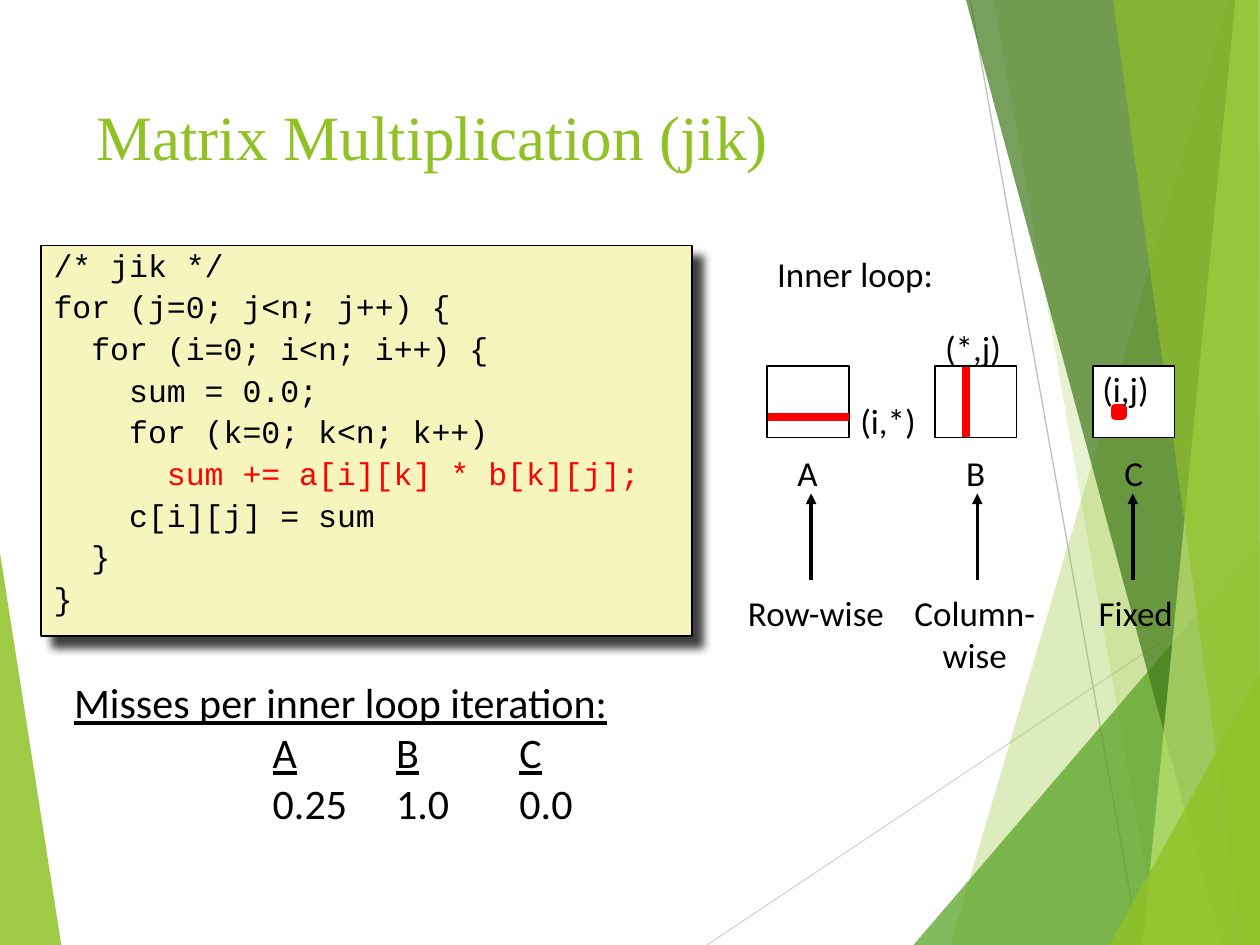
from lxml import etree
from pptx import Presentation
from pptx import util as u
from pptx.dml.color import RGBColor
from pptx.enum import shapes, text
from pptx.oxml import ns

Pt = u.Pt
BLACK, RED, LIME = "000000", "FF0000", "90C226"
SANS = "Calibri"

RAYS = [("D9D9D9", (404, 540, 720, 329)), ("BFBFBF", (554.4, 0, 651, 540))]
LEAF = (LIME, 85, [(0, 316), (35, 540), (0, 540)])
BANDS = [
    (LIME, 30, [(702, 0), (543, 540), (720, 540), (720, 0)]),
    (LIME, 20, [(567.5, 0), (661.5, 540), (720, 540), (720, 0)]),
    ("54A021", 72, [(522.5, 540), (720, 309), (720, 540)]),
    ("3F7819", 70, [(552, 0), (698.5, 540), (720, 540), (720, 0)]),
    ("C0E474", 70, [(706.5, 0), (653, 540), (720, 540), (720, 0)]),
    (LIME, 65, [(636, 0), (710, 540), (720, 540), (719, 0)]),
    (LIME, 80, [(634.5, 540), (720, 385), (720, 540)]),
]
CODE = [
    [("/* jik */", BLACK)],
    [("for (j=0; j<n; j++) {", BLACK)],
    [("  for (i=0; i<n; i++) {", BLACK)],
    [("    sum = 0.0;", BLACK)],
    [("    for (k=0; k<n; k++)", BLACK)],
    [("      ", BLACK), ("sum += a[i][k] * b[k][j];", RED)],
    [("    c[i][j] = sum", BLACK)],
    [("  }", BLACK)],
    [("}", BLACK)],
]
GRIDS = [
    ("A", 438.5, 448.5, 26.5, 463.5, ["Row-wise"], 419.75, 93),
    ("B", 534.2, 545, 25, 558.5, ["Column-", "wise"], 515, 84),
    ("C", 624.5, 635.5, 25, 647.3, ["Fixed"], 620.5, 57),
]
MARKS = [("(i,*)", 484.5, 224.5, 46), ("(*,j)", 533, 183, 47),
         ("(i,j)", 622.8, 206.5, 41), ("Inner loop:", 437, 140.5, 104.5)]
MISSES = [
    [("Misses per inner loop iteration:", True)],
    [("\t\t", False), ("A", True), ("\t", False), ("B", True),
     ("\t", False), ("C", True)],
    [("\t\t0.25\t1.0\t0.0", False)],
]
TABS = [60, 113.5, 184, 254.5]


def sub(node, tag, **attrs):
    return etree.SubElement(node, ns.qn(tag), attrs)


def paint(fill, code, alpha=100):
    fill.solid()
    fill.fore_color.rgb = RGBColor.from_string(code)
    if alpha < 100:
        tone = fill._xPr.find(".//" + ns.qn("a:srgbClr"))
        sub(tone, "a:alpha", val=str(alpha * 1000))


def write(para, words, size, face, code, under=None):
    run = para.add_run()
    run.text = words
    font = run.font
    font.size, font.name, font.underline = Pt(size), face, under
    paint(font.fill, code)


def line(art, ends, code, width, head=False):
    edge = art.add_connector(shapes.MSO_CONNECTOR.STRAIGHT, *map(Pt, ends))
    paint(edge.line.fill, code)
    edge.line.width = Pt(width)
    if head:
        sub(edge.line._get_or_add_ln(), "a:tailEnd", type="triangle")
    sub(edge._element.spPr, "a:effectLst")


def wedge(art, code, alpha, dots):
    pen = art.build_freeform(*dots[0], scale=12700)
    pen.add_line_segments(dots[1:])
    form = pen.convert_to_shape()
    form.shadow.inherit = False
    form.line.fill.background()
    paint(form.fill, code, alpha)


def rect(art, place, fill, edge, width):
    box = art.add_shape(shapes.MSO_SHAPE.RECTANGLE, *map(Pt, place))
    box.shadow.inherit = False
    paint(box.fill, fill)
    paint(box.line.fill, edge)
    box.line.width = Pt(width)
    return box


def label(art, rows, left, top, width, align=text.PP_ALIGN.LEFT):
    high = 7 + 24.4 * len(rows)
    frame = art.add_textbox(*map(Pt, (left, top, width, high))).text_frame
    frame.word_wrap = False
    frame.auto_size = text.MSO_AUTO_SIZE.SHAPE_TO_FIT_TEXT
    for i, row in enumerate(rows):
        para = frame.add_paragraph() if i else frame.paragraphs[0]
        para.alignment = align
        write(para, row, 20, SANS, BLACK)


def listing(art):
    box = rect(art, (23.5, 140.25, 371.75, 223.25), "F6F5BD", BLACK, 1)
    glow = sub(box._element.spPr.find(ns.qn("a:effectLst")), "a:outerShdw",
               blurRad=str(Pt(5)), dist=str(Pt(8.5)), dir="2700000",
               algn="tl", rotWithShape="0")
    tone = sub(glow, "a:srgbClr", val=BLACK)
    sub(tone, "a:alpha", val="75000")
    frame = box.text_frame
    frame.word_wrap = True
    frame.vertical_anchor = text.MSO_ANCHOR.TOP
    frame.margin_top = Pt(7)
    for i, row in enumerate(CODE):
        para = frame.add_paragraph() if i else frame.paragraphs[0]
        para.alignment = text.PP_ALIGN.LEFT
        para.line_spacing = 0.65
        if i:
            para.space_before = Pt(9.75)
        for words, code in row:
            write(para, words, 18, "Courier New", code)


def table(art):
    frame = art.add_textbox(*map(Pt, (35.25, 383, 429, 96.5))).text_frame
    frame.word_wrap = True
    for i, row in enumerate(MISSES):
        para = frame.add_paragraph() if i else frame.paragraphs[0]
        stops = sub(para._p.get_or_add_pPr(), "a:tabLst")
        for pos in TABS:
            sub(stops, "a:tab", pos=str(Pt(pos)), algn="l")
        for words, under in row:
            write(para, words, 24, SANS, BLACK, under)


def main():
    deck = Presentation()
    deck.slide_width, deck.slide_height = Pt(720), Pt(540)
    page = deck.slides.add_slide(deck.slide_layouts[5])
    art = page.shapes
    paint(page.background.fill, "FFFFFF")

    wedge(art, *LEAF)
    for code, ends in RAYS:
        line(art, ends, code, 0.75)
    for band in BANDS:
        wedge(art, *band)

    title = art.title
    title.left, title.top, title.width, title.height = map(
        Pt, (48, 48, 500, 59))
    title.text_frame.vertical_anchor = text.MSO_ANCHOR.MIDDLE
    para = title.text_frame.paragraphs[0]
    para.alignment = text.PP_ALIGN.LEFT
    write(para, "Matrix Multiplication (jik)", 36, "Times New Roman", LIME)
    art._spTree.append(title._element)

    listing(art)
    for name, left, tag, wide, mid, rows, near, span in GRIDS:
        rect(art, (left, 209, 46.75, 41), "FFFFFF", BLACK, 1)
        label(art, [name], tag, 254.5, wide)
        line(art, (mid, 331.5, mid, 282), BLACK, 2, True)
        label(art, rows, near, 334.5, span, text.PP_ALIGN.CENTER)
    line(art, (552, 209.5, 552, 249.75), RED, 4.5)
    line(art, (439, 238.5, 485, 238.5), RED, 4.5)
    rect(art, (637, 233, 4.5, 4.5), RED, RED, 4.5)
    for words, left, top, width in MARKS:
        label(art, [words], left, top, width)
    table(art)
    deck.save("out.pptx")


if __name__ == "__main__":
    main()
